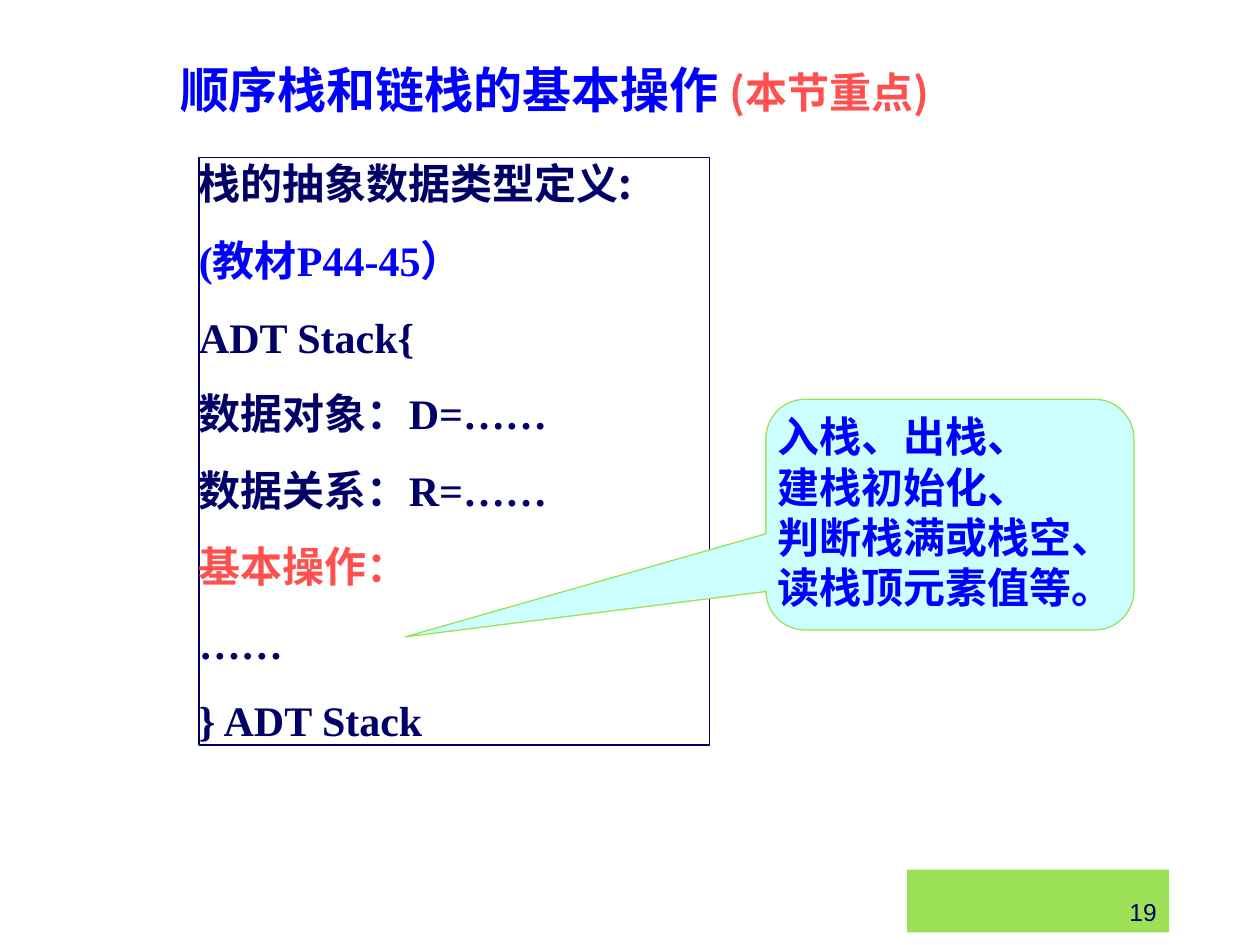
"""Build the slide on the basic operations of sequential and linked stacks."""
from lxml import etree
from pptx import Presentation
from pptx import util as u
from pptx.dml.color import RGBColor
from pptx.enum import shapes, text
from pptx.oxml.ns import qn

NAVY, BLUE, RED = "000066", "0000FF", "FF5050"
GREEN, CYAN = "9CE157", "CCFFFF"
CJK, SERIF, SANS = "Noto Sans CJK SC", "Times New Roman", "Arial"


def rgb(value):
    return RGBColor.from_string(value)


def add_run(p, content, size=24, font=SERIF, color=NAVY, bold=True):
    r = p.add_run()
    r.text = content
    r.font.size, r.font.bold, r.font.name = u.Pt(size), bold, font
    r.font.color.rgb = rgb(color)
    etree.SubElement(r._r.get_or_add_rPr(), qn("a:ea"), typeface=CJK)


class Deck:
    def __init__(self, width, height):
        self.prs = Presentation()
        self.prs.slide_width, self.prs.slide_height = u.Cm(width), u.Cm(height)
        self.s = self.prs.slides.add_slide(self.prs.slide_layouts[1])

    def place(self, sp, box):
        sp.left, sp.top, sp.width, sp.height = map(u.Cm, box)

    def fill_text(self, sp, paragraphs, inset=(0, 0), gap=0,
                  align=text.PP_ALIGN.LEFT, anchor=text.MSO_ANCHOR.TOP):
        tf = sp.text_frame
        tf.word_wrap, tf.auto_size = True, text.MSO_AUTO_SIZE.NONE
        tf.vertical_anchor = anchor
        tf.margin_left = tf.margin_right = u.Cm(inset[0])
        tf.margin_top = tf.margin_bottom = u.Cm(inset[1])
        for i, runs in enumerate(paragraphs):
            p = tf.add_paragraph() if i else tf.paragraphs[0]
            pPr = p._p.get_or_add_pPr()
            pPr.set("marL", "0")
            pPr.set("indent", "0")
            etree.SubElement(pPr, qn("a:buNone"))
            p.alignment = align
            p.space_before = u.Pt(gap if i else 0)
            for content, style in runs:
                add_run(p, content, **style)

    def title(self, box, runs):
        sp = self.s.shapes.title
        self.place(sp, box)
        self.fill_text(sp, [runs], inset=(0.25, 0.13))

    def body(self, box, paragraphs, line, gap):
        sp = self.s.placeholders[1]
        self.place(sp, box)
        sp.line.color.rgb, sp.line.width = rgb(line), u.Pt(0.75)
        self.fill_text(sp, paragraphs, gap=gap)

    def shape(self, kind, box, paragraphs, fill, line=None, adjust=(), **layout):
        sp = self.s.shapes.add_shape(kind, *map(u.Cm, box))
        sp.shadow.inherit = False
        sp.fill.solid()
        sp.fill.fore_color.rgb = rgb(fill)
        if line:
            sp.line.color.rgb, sp.line.width = rgb(line), u.Pt(0.75)
        else:
            sp.line.fill.background()
        for i, value in enumerate(adjust):
            sp.adjustments[i] = value
        self.fill_text(sp, paragraphs, **layout)


def main():
    deck = Deck(25.4, 19.05)
    deck.title((3.38, 1.07, 17.78, 1.47), [
        ("顺序栈和链栈的基本操作 ", dict(size=28, color=BLUE)),
        ("(本节重点)", dict(font=CJK, color=RED)),
    ])
    definition = [
        ("栈的抽象数据类型定义:", dict(font=CJK)),
        ("(教材P44-45）", dict(color=BLUE)),
        ("ADT Stack{", {}),
        ("数据对象：D=……", {}),
        ("数据关系：R=……", {}),
        ("基本操作：", dict(color=RED)),
        ("……", {}),
        ("} ADT Stack", {}),
    ]
    deck.body((4.01, 3.18, 10.29, 11.84), [[run] for run in definition],
              line=NAVY, gap=15)
    operations = ["入栈、出栈、", "建栈初始化、", "判断栈满或栈空、", "读栈顶元素值等。"]
    deck.shape(shapes.MSO_SHAPE.ROUNDED_RECTANGULAR_CALLOUT,
               (15.44, 8.05, 7.42, 4.65),
               [[(line, dict(color=BLUE))] for line in operations],
               CYAN, GREEN, adjust=(-1.48, 0.53, 0.17))
    deck.shape(shapes.MSO_SHAPE.RECTANGLE, (18.29, 17.53, 5.28, 1.27),
               [[("19", dict(size=14, font=SANS, bold=False))]], GREEN,
               inset=(0.25, 0.13), align=text.PP_ALIGN.RIGHT,
               anchor=text.MSO_ANCHOR.BOTTOM)
    deck.prs.save("out.pptx")


if __name__ == "__main__":
    main()
